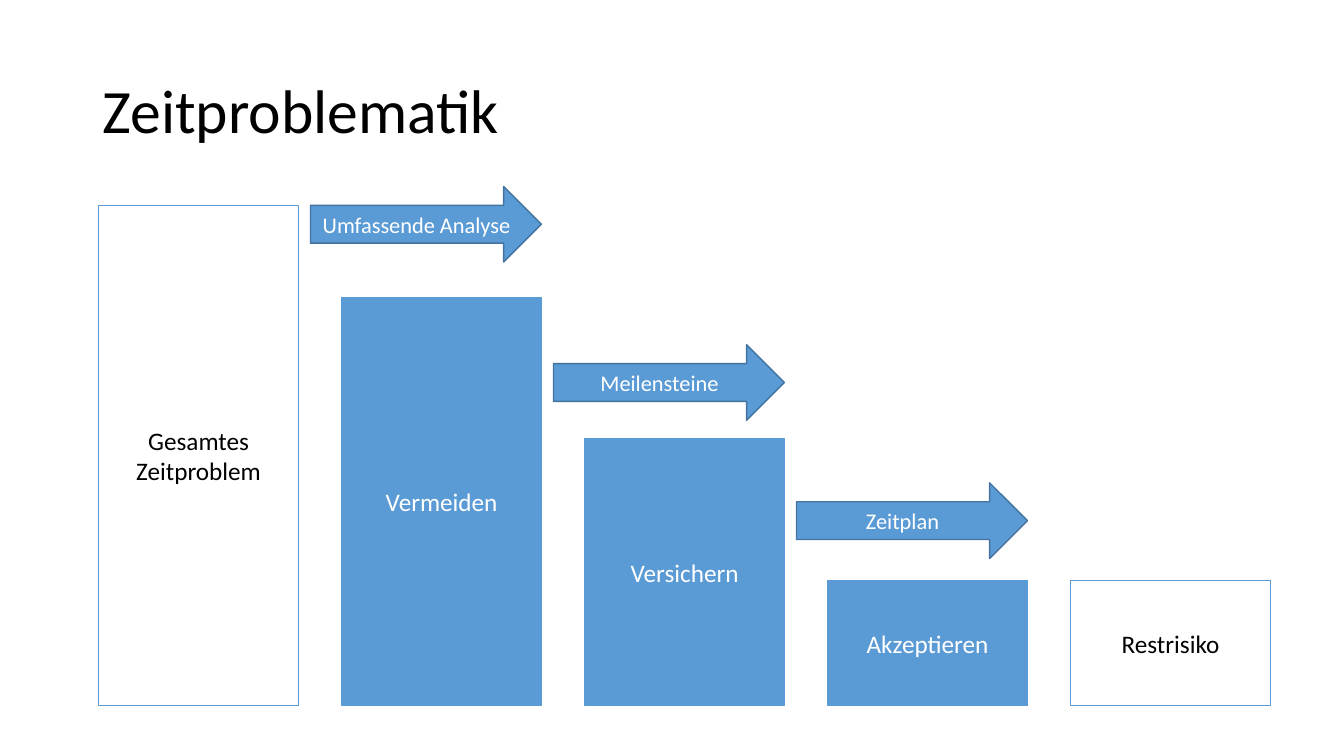
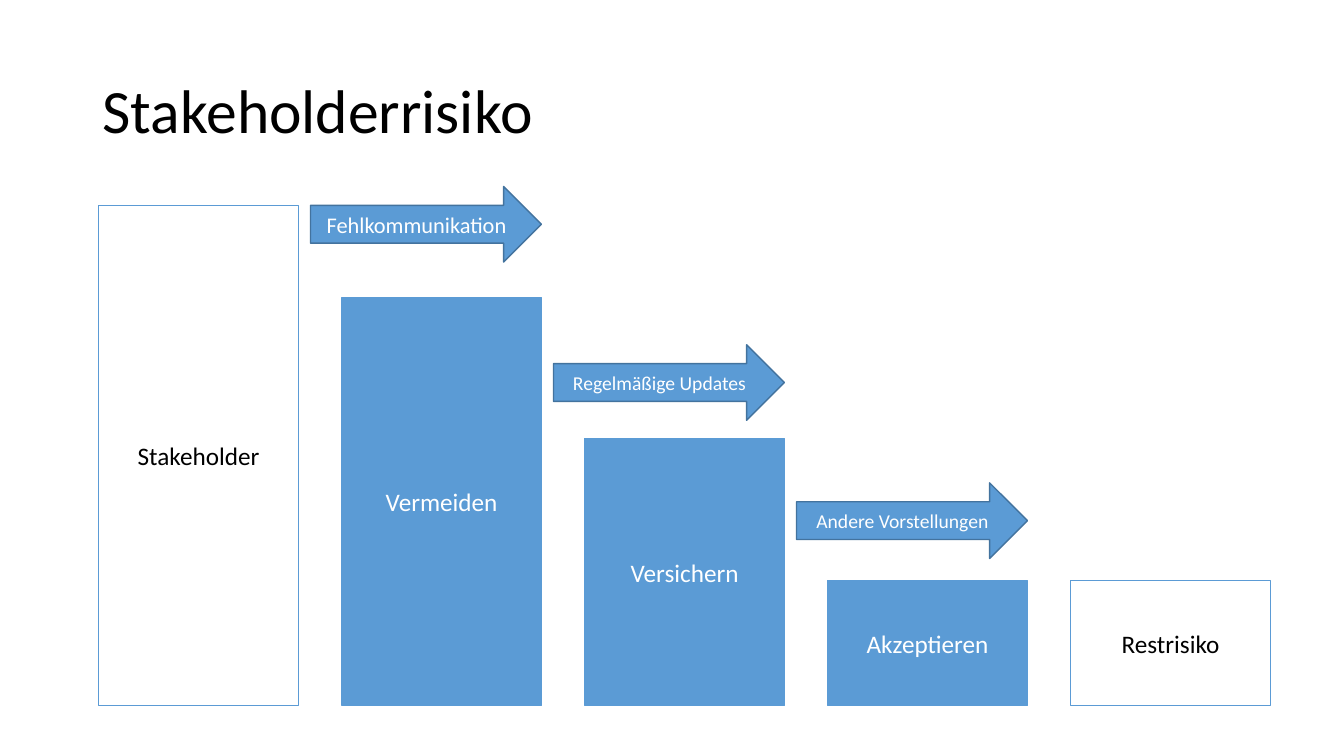
import pptx
import pptx.util
import pptx.dml.color
import pptx.enum.shapes
import pptx.enum.text

Inches = pptx.util.Inches
Pt = pptx.util.Pt
SHAPE = pptx.enum.shapes.MSO_SHAPE
ALIGN = pptx.enum.text.PP_ALIGN
MIDDLE = pptx.enum.text.MSO_ANCHOR.MIDDLE

FONT = "Calibri"
BLUE, EDGE, WHITE, BLACK = "5B9BD5", "43739E", "FFFFFF", "000000"

TITLE_BOX = (0.92, 0.4, 11.5, 1.45)
STAIR_BOX = (0.98, 1.85, 11.62, 5.15)
BAR_WIDTH = 1.98
BAR_DROPS = (0.19, 1.1, 2.5, 3.91, 3.91)
BAR_FILLS = (WHITE, BLUE, BLUE, BLUE, WHITE)
ARROW_DROPS = (0, 1.57, 2.94)
ARROW_HEIGHT = 0.75
ARROW_LEAD = 0.31
STEPS = ("Vermeiden", "Versichern", "Akzeptieren", "Restrisiko")

SLIDES = (
    ("Zeitproblematik", "Gesamtes\nZeitproblem",
     (("Umfassende Analyse", 16), ("Meilensteine", 16), ("Zeitplan", 16))),
    ("Stakeholderrisiko", "Stakeholder",
     (("Fehlkommunikation", 16), ("Regelmäßige Updates", 14),
      ("Andere Vorstellungen", 14))),
)


def color(value):
    """Turn a hex string into a colour."""
    return pptx.dml.color.RGBColor.from_string(value)


def write(shape, text, size, ink, align):
    """Set the single paragraph of a shape, centred in height."""
    frame = shape.text_frame
    frame.word_wrap = True
    frame.vertical_anchor = MIDDLE
    para = frame.paragraphs[0]
    para.text = text
    para.alignment = align
    para.font.name = FONT
    para.font.size = Pt(size)
    para.font.color.rgb = color(ink)
    return para


def add_title(slide, box, text):
    """Place the slide title in its box."""
    shape = slide.shapes.add_textbox(*map(Inches, box))
    para = write(shape, text, 44, BLACK, ALIGN.LEFT)
    para.line_spacing = 0.9


def add_block(slide, kind, box, fill, edge, text, size):
    """Place a filled and outlined shape with a centred label."""
    shape = slide.shapes.add_shape(kind, *map(Inches, box))
    shape.shadow.inherit = False
    shape.fill.solid()
    shape.fill.fore_color.rgb = color(fill)
    shape.line.color.rgb = color(edge)
    shape.line.width = Pt(1)
    ink = BLACK if fill == WHITE else WHITE
    write(shape, text, size, ink, ALIGN.CENTER)


def add_stairs(slide, box, labels, arrows):
    """Place falling bars on a common floor, with arrows between them."""
    left, top, width, height = box
    pitch = (width - BAR_WIDTH) / (len(labels) - 1)
    for col, (label, drop, fill) in enumerate(zip(labels, BAR_DROPS, BAR_FILLS)):
        bar = (left + col * pitch, top + drop, BAR_WIDTH, height - drop)
        add_block(slide, SHAPE.RECTANGLE, bar, fill, BLUE, label, 18)
    for col, ((label, size), drop) in enumerate(zip(arrows, ARROW_DROPS), 1):
        arrow = (left + col * pitch - ARROW_LEAD, top + drop,
                 BAR_WIDTH + ARROW_LEAD, ARROW_HEIGHT)
        add_block(slide, SHAPE.RIGHT_ARROW, arrow, BLUE, EDGE, label, size)


def main():
    """Build and save the presentation."""
    deck = pptx.Presentation()
    deck.slide_width = Inches(13.33)
    deck.slide_height = Inches(7.5)
    for title, start, arrows in SLIDES:
        slide = deck.slides.add_slide(deck.slide_layouts[6])
        add_title(slide, TITLE_BOX, title)
        add_stairs(slide, STAIR_BOX, (start,) + STEPS, arrows)
    deck.save("out.pptx")


if __name__ == "__main__":
    main()
